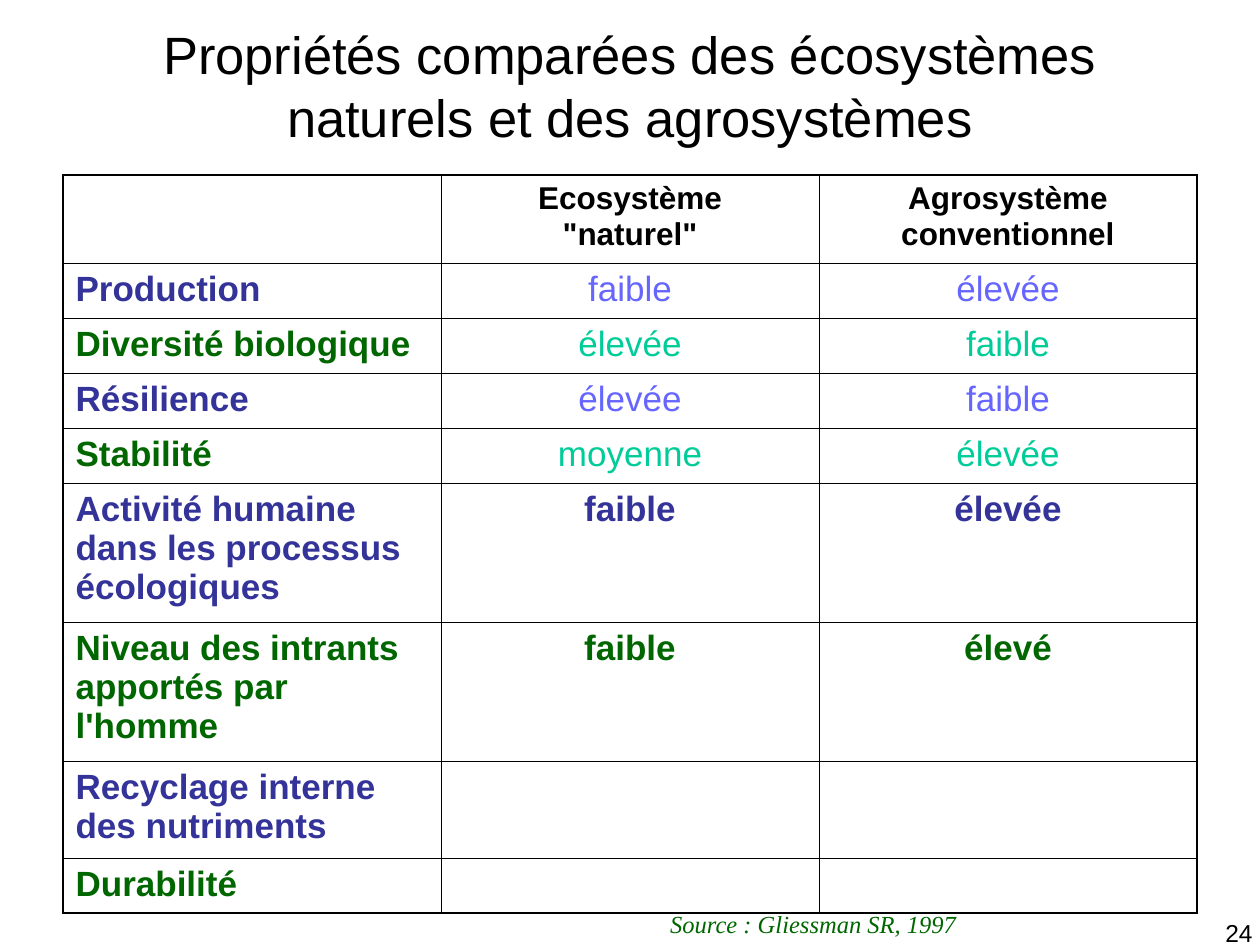
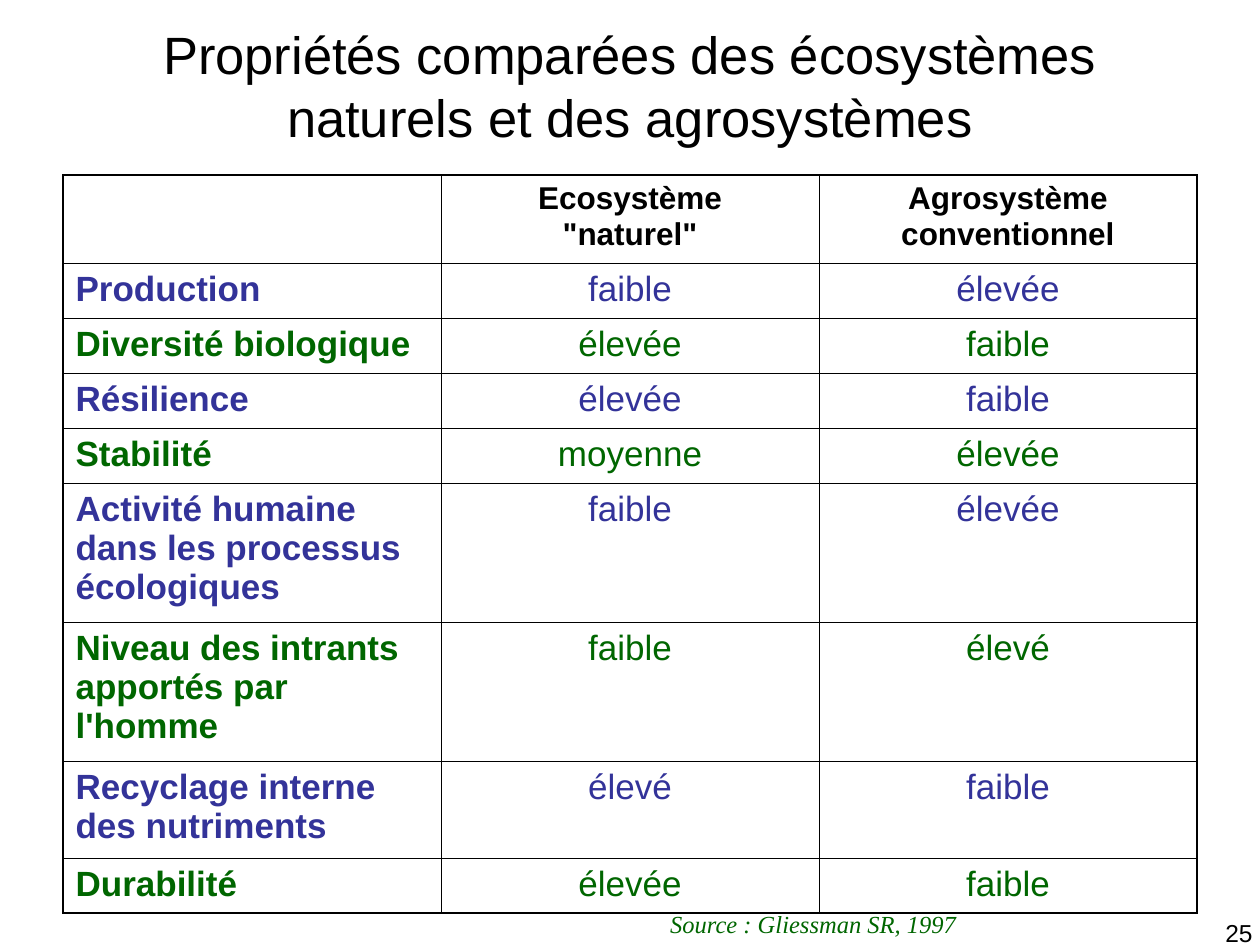
from dataclasses import dataclass

from lxml import etree
from pptx import Presentation
from pptx.dml.color import RGBColor
from pptx.enum.text import MSO_ANCHOR, PP_ALIGN
from pptx.oxml.ns import qn
from pptx.util import Pt

LEFT, CENTER, RIGHT = PP_ALIGN.LEFT, PP_ALIGN.CENTER, PP_ALIGN.RIGHT
TOP, MIDDLE = MSO_ANCHOR.TOP, MSO_ANCHOR.MIDDLE


@dataclass(frozen=True)
class Theme:
    sans: str = "Arial"
    serif: str = "Times New Roman"
    black: str = "000000"
    blue: str = "333399"
    green: str = "006600"
    pale_blue: str = "6666FF"
    pale_green: str = "00CC99"
    title_size: int = 30
    header_size: int = 18
    body_size: int = 20
    small_size: int = 14
    leading: float = 1.2
    tight: float = 0.93
    outer_line: float = 1.08
    inner_line: float = 0.45


THEME = Theme()
DARK = (THEME.blue, THEME.green)
PALE = (THEME.pale_blue, THEME.pale_green)

# Shared wording
TITLE = "Propriétés comparées des écosystèmes naturels et des agrosystèmes"
SOURCE = "Source : Gliessman SR, 1997"
HEADERS = ("", 'Ecosystème\n"naturel"', "Agrosystème\nconventionnel")
# Property, natural ecosystem, conventional agrosystem, lines of text
PROPERTIES = [
    ("Production", "faible", "élevée", 1),
    ("Diversité biologique", "élevée", "faible", 1),
    ("Résilience", "élevée", "faible", 1),
    ("Stabilité", "moyenne", "élevée", 1),
    ("Activité humaine dans les processus écologiques", "faible", "élevée", 3),
    ("Niveau des intrants apportés par l'homme", "faible", "élevé", 3),
    ("Recyclage interne des nutriments", "élevé", "faible", 2),
    ("Durabilité", "élevée", "faible", 1),
]
# Page number and, for each property revealed, (colour pair, bold)
PAGES = [
    ("24", [(PALE, False)] * 4 + [(DARK, True)] * 2),
    ("25", [(DARK, False)] * len(PROPERTIES)),
]

# Page furniture: text, box in points, alignment, anchor, font values
TITLE_BOX = (TITLE, (36, 3.6, 648, 90), CENTER, MIDDLE,
             {"name": THEME.sans, "size": THEME.title_size, "color": THEME.black})
SOURCE_BOX = (SOURCE, (252, 516.2, 425.5, 24.5), CENTER, TOP,
              {"name": THEME.serif, "size": THEME.small_size,
               "color": THEME.green, "italic": True})
NUMBER_PLACE = ((555.1, 521.3, 167.8, 37.4), RIGHT, TOP,
                {"name": THEME.sans, "size": THEME.small_size, "color": THEME.black})

# Table grid
TABLE_LEFT, TABLE_TOP, COLUMN_WIDTH, ROW_PADDING = 36, 100.1, 216, 7.4
ROW_HEIGHTS = [2 * THEME.header_size * THEME.leading + ROW_PADDING]
ROW_HEIGHTS += [lines * THEME.body_size * THEME.leading + ROW_PADDING
                for *_, lines in PROPERTIES]


def write(frame, text, align, font, tightness=1):
    """Fill the first paragraph of a text frame with formatted text."""
    paragraph = frame.paragraphs[0]
    paragraph.text = text
    paragraph.alignment = align
    paragraph.line_spacing = Pt(round(font["size"] * THEME.leading * tightness, 1))
    for run in paragraph.runs:
        for key, value in font.items():
            if key == "color":
                run.font.color.rgb = RGBColor.from_string(value)
            else:
                setattr(run.font, key, Pt(value) if key == "size" else value)


def draw_borders(cell, widths):
    """Give the cell black borders; widths are left, right, top, bottom."""
    properties = cell._tc.get_or_add_tcPr()
    for position, (side, width) in enumerate(zip("LRTB", widths)):
        line = etree.Element(qn(f"a:ln{side}"), w=str(Pt(width)))
        fill = etree.SubElement(line, qn("a:solidFill"))
        etree.SubElement(fill, qn("a:srgbClr"), val=THEME.black)
        properties.insert(position, line)


prs = Presentation()
prs.slide_width, prs.slide_height = Pt(720), Pt(540)

for number, revealed in PAGES:
    slide = prs.slides.add_slide(prs.slide_layouts[6])

    # Comparison table
    row_count, column_count = len(ROW_HEIGHTS), len(HEADERS)
    comparison = slide.shapes.add_table(
        row_count, column_count, Pt(TABLE_LEFT), Pt(TABLE_TOP),
        Pt(COLUMN_WIDTH * column_count), Pt(sum(ROW_HEIGHTS))).table
    comparison.first_row = comparison.horz_banding = False
    for column in comparison.columns:
        column.width = Pt(COLUMN_WIDTH)
    for row, height in zip(comparison.rows, ROW_HEIGHTS):
        row.height = Pt(height)

    # Cell frames: heavier on the outside edge
    for r in range(row_count):
        for c in range(column_count):
            cell = comparison.cell(r, c)
            cell.fill.background()
            on_edge = (c == 0, c == column_count - 1, r == 0, r == row_count - 1)
            draw_borders(cell, [THEME.outer_line if edge else THEME.inner_line
                                for edge in on_edge])

    # Header row
    header_font = {"name": THEME.sans, "size": THEME.header_size,
                   "color": THEME.black, "bold": True}
    for c, heading in enumerate(HEADERS):
        if heading:
            write(comparison.cell(0, c).text_frame, heading, CENTER,
                  header_font, THEME.tight)

    # Property names, in alternating blue and green
    body_font = {"name": THEME.sans, "size": THEME.body_size}
    for i, (label, *_) in enumerate(PROPERTIES):
        write(comparison.cell(i + 1, 0).text_frame, label, LEFT,
              body_font | {"color": DARK[i % 2], "bold": True}, THEME.tight)

    # Values revealed so far
    for i, (colors, bold) in enumerate(revealed):
        for c in (1, 2):
            write(comparison.cell(i + 1, c).text_frame, PROPERTIES[i][c], CENTER,
                  body_font | {"color": colors[i % 2], "bold": bold}, THEME.tight)

    # Title, source and page number
    for text, box, align, anchor, font in (
            TITLE_BOX, SOURCE_BOX, (number, *NUMBER_PLACE)):
        frame = slide.shapes.add_textbox(*map(Pt, box)).text_frame
        frame.word_wrap = True
        frame.vertical_anchor = anchor
        write(frame, text, align, font)

prs.save("out.pptx")
